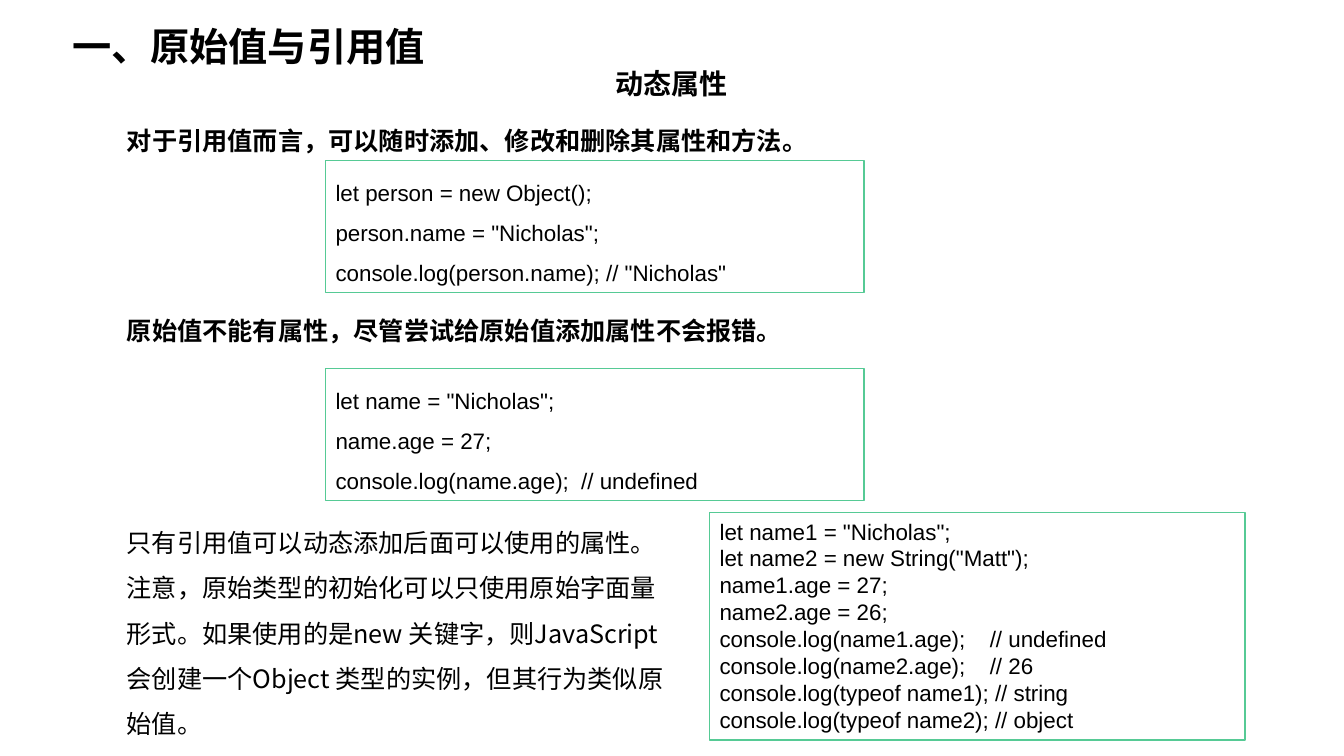
from pptx import Presentation
from pptx.util import Pt
from pptx.dml.color import RGBColor
from pptx.enum import shapes, text
from pptx.oxml import ns
from lxml import etree

THEME = {
    "ink": "000000", "paper": "FFFFFF", "edge": "56CA95",
    "code": "Arial", "han": "Noto Sans CJK SC",
    "title": 28, "sub": 20, "body": 18, "small": 16,
}
LEFT = 83.5
NOTES = [
    ("一、原始值与引用值", (44.6, 12.2, 486.7, 41),
     dict(size="title", font="code", bold=True)),
    ("动态属性", (46.1, 31.7, 867.6, 43.2),
     dict(size="sub", bold=True, gap=1.5, align=text.PP_ALIGN.CENTER)),
    ("对于引用值而言，可以随时添加、修改和删除其属性和方法。",
     (LEFT, 74.9, 570.2, 39.6), dict(bold=True, gap=1.5)),
    ("原始值不能有属性，尽管尝试给原始值添加属性不会报错。",
     (LEFT, 221.8, 546.5, 28.8), dict(bold=True)),
    ("只有引用值可以动态添加后面可以使用的属性。注意，原始类型的初始化可以只使用"
     "原始字面量形式。如果使用的是new 关键字，则JavaScript会创建一个Object "
     "类型的实例，但其行为类似原始值。",
     (LEFT, 362.2, 403.2, 170.6), dict(gap=1.5)),
]
CODES = [
    ('let person = new Object();\n'
     'person.name = "Nicholas";\n'
     'console.log(person.name); // "Nicholas"',
     (232.6, 114.5, 384.5, 94.3), dict(gap=1.5)),
    ('let name = "Nicholas";\n'
     'name.age = 27;\n'
     'console.log(name.age);\t// undefined',
     (232.6, 263.3, 384.5, 94.3), dict(gap=1.5, tab=175.5)),
    ('let name1 = "Nicholas";\n'
     'let name2 = new String("Matt");\n'
     'name1.age = 27;\n'
     'name2.age = 26;\n'
     'console.log(name1.age);\t// undefined\n'
     'console.log(name2.age);\t// 26\n'
     'console.log(typeof name1); // string\n'
     'console.log(typeof name2); // object',
     (506.9, 366.3, 382.3, 162.3), dict(tab=193)),
]


def color(key):
    return RGBColor.from_string(THEME[key])


def write(shape, words, size="body", font="han", bold=False, gap=1.0,
          align=text.PP_ALIGN.LEFT, tab=None):
    frame = shape.text_frame
    frame.word_wrap = True
    frame.auto_size = text.MSO_AUTO_SIZE.SHAPE_TO_FIT_TEXT
    frame.vertical_anchor = text.MSO_ANCHOR.TOP
    for i, line in enumerate(words.split("\n")):
        para = frame.add_paragraph() if i else frame.paragraphs[0]
        para.alignment = align
        para.line_spacing = gap
        if tab and "\t" in line:
            stops = etree.SubElement(para._p.get_or_add_pPr(), ns.qn("a:tabLst"))
            etree.SubElement(stops, ns.qn("a:tab"), pos=str(Pt(tab)), algn="l")
        run = para.add_run()
        run.text = line
        run.font.size = Pt(THEME[size])
        run.font.name = THEME[font]
        run.font.bold = bold
        run.font.color.rgb = color("ink")
        east = etree.SubElement(run._r.get_or_add_rPr(), ns.qn("a:ea"))
        east.set("typeface", THEME["han"])


deck = Presentation()
deck.slide_width, deck.slide_height = Pt(960), Pt(540)
slide = deck.slides.add_slide(deck.slide_layouts[6])

for words, place, style in NOTES:
    write(slide.shapes.add_textbox(*map(Pt, place)), words, **style)

for words, place, style in CODES:
    box = slide.shapes.add_shape(shapes.MSO_SHAPE.RECTANGLE, *map(Pt, place))
    box.shadow.inherit = False
    box.fill.solid()
    box.fill.fore_color.rgb = color("paper")
    box.line.color.rgb = color("edge")
    box.line.width = Pt(1)
    write(box, words, size="small", font="code", **style)

deck.save("out.pptx")
